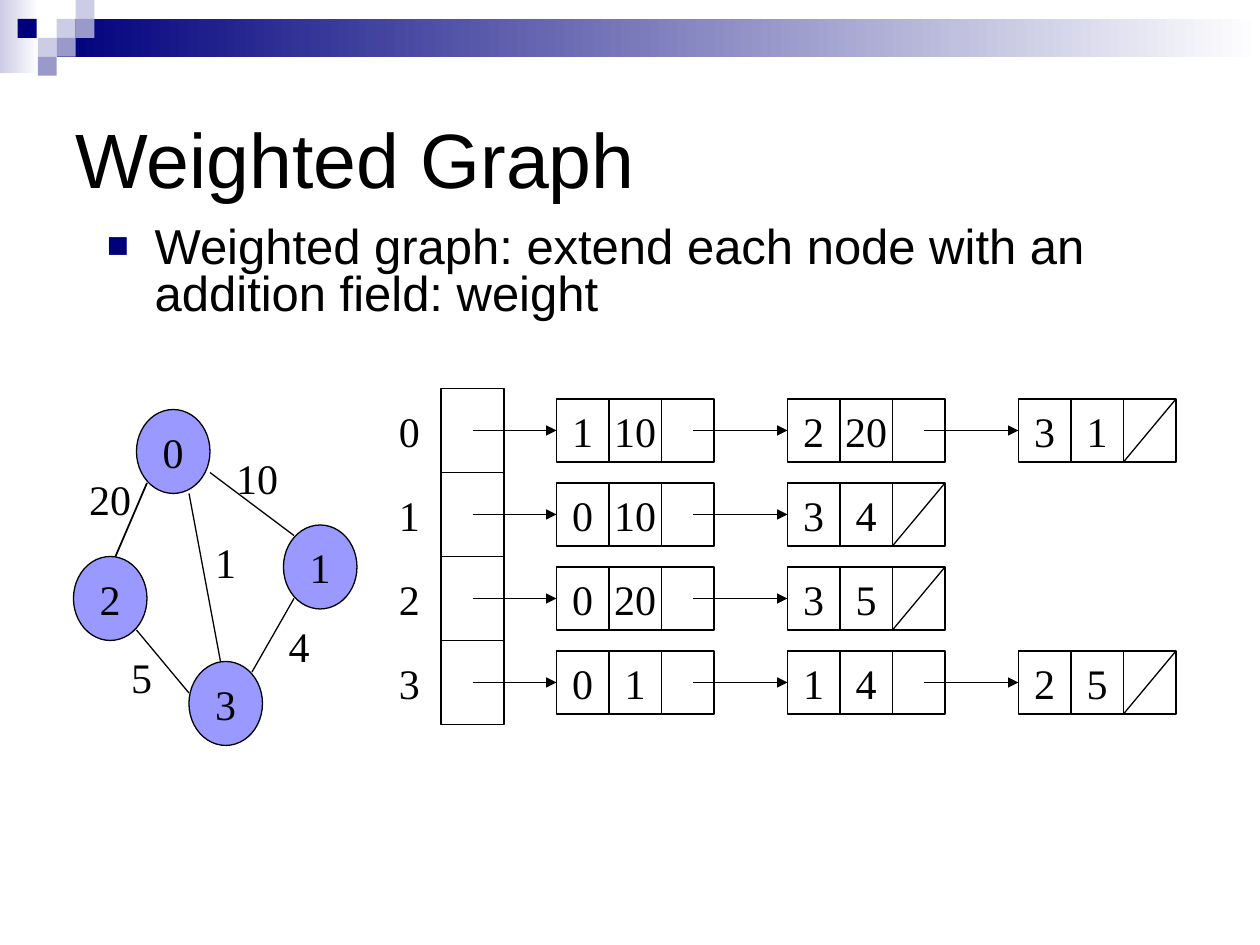
from lxml import etree
from pptx import Presentation
from pptx.dml.color import RGBColor
from pptx.enum.shapes import MSO_CONNECTOR as CONN, MSO_SHAPE as SHAPE
from pptx.enum.text import MSO_ANCHOR as ANCHOR, PP_ALIGN as ALIGN
from pptx.oxml.ns import qn
from pptx.util import Inches, Pt

COLORS = {"navy": "00007D", "lilac": "CCCCE6", "violet": "9999CC",
          "node": "9999FF", "ink": "000000", "white": "FFFFFF"}


def color(name):
    return RGBColor.from_string(COLORS[name])


def unit(n):
    """Diagram grid: twelfths of an inch."""
    return Inches(n / 12)


def add_run(p, text, size, font):
    r = p.add_run()
    r.text = text
    r.font.size = Pt(size)
    r.font.name = font
    r.font.color.rgb = color("ink")


def add_label(sp, text):
    tf = sp.text_frame
    tf.word_wrap = False
    tf.margin_left = tf.margin_right = 0  # two digits fit the narrow boxes
    tf.vertical_anchor = ANCHOR.MIDDLE
    p = tf.paragraphs[0]
    p.alignment = ALIGN.CENTER
    add_run(p, text, 24, "Times New Roman")


def add_text(s, x, y, w, h, text):
    add_label(s.shapes.add_textbox(unit(x), unit(y), unit(w), unit(h)), text)


def add_outlined(s, kind, x, y, w, h, text="", fill=None):
    sp = s.shapes.add_shape(kind, unit(x), unit(y), unit(w), unit(h))
    sp.shadow.inherit = False
    if fill:
        sp.fill.solid()
        sp.fill.fore_color.rgb = color(fill)
    else:
        sp.fill.background()
    sp.line.color.rgb = color("ink")
    sp.line.width = Pt(0.75)
    if text:
        add_label(sp, text)
    return sp


def add_line(s, x1, y1, x2, y2, width=0.75, target=None):
    """A plain line, or an arrow to the left side of the target cell."""
    line = s.shapes.add_connector(CONN.STRAIGHT, unit(x1), unit(y1), unit(x2), unit(y2))
    line.line.color.rgb = color("ink")
    line.line.width = Pt(width)
    if target is not None:
        line.end_connect(target, 1)
        etree.SubElement(line.line._get_or_add_ln(), qn("a:tailEnd"), type="triangle")
    etree.SubElement(line._element.spPr, qn("a:effectLst"))


def add_banner(s, left, top):
    def block(x, y, w, h, *fills):
        sp = s.shapes.add_shape(SHAPE.RECTANGLE, Inches(left + x), Inches(top + y),
                                Inches(w), Inches(h))
        sp.shadow.inherit = False
        sp.line.fill.background()
        if len(fills) == 1:
            sp.fill.solid()
            sp.fill.fore_color.rgb = color(fills[0])
        else:
            sp.fill.gradient()
            sp.fill.gradient_angle = 0
            for stop, name in zip(sp.fill.gradient_stops, fills):
                stop.color.rgb = color(name)

    # Gradient bars, then the mosaic squares
    block(0, 0, 0.31, 0.58, "lilac", "white")
    block(0.45, 0.15, 9.55, 0.3, "navy", "white")
    for x, y, fill in [(0.45, 0.15, "lilac"), (0.6, 0, "lilac"), (0.6, 0.15, "violet"),
                       (0.3, 0.3, "lilac"), (0.14, 0.15, "navy"),
                       (0.45, 0.3, "violet"), (0.3, 0.45, "violet")]:
        block(x, y, 0.15, 0.15, fill)


def add_title(s, left, top, width, height):
    title = s.shapes.title
    title.left, title.top = Inches(left), Inches(top)
    title.width, title.height = Inches(width), Inches(height)
    tf = title.text_frame
    tf.vertical_anchor = ANCHOR.MIDDLE
    p = tf.paragraphs[0]
    p.alignment = ALIGN.LEFT
    add_run(p, "Weighted Graph", 44, "Arial")


def add_body(s, left, top, width, height):
    tf = s.shapes.add_textbox(Inches(left), Inches(top), Inches(width), Inches(height)).text_frame
    tf.word_wrap = True
    p = tf.paragraphs[0]
    p.line_spacing = 0.8
    pPr = p._p.get_or_add_pPr()
    pPr.set("marL", str(Inches(0.38)))
    pPr.set("indent", str(Inches(-0.38)))
    bullet_color = etree.SubElement(pPr, qn("a:buClr"))
    etree.SubElement(bullet_color, qn("a:srgbClr"), val=COLORS["navy"])
    etree.SubElement(pPr, qn("a:buSzPct"), val="75000")
    etree.SubElement(pPr, qn("a:buFont"), typeface="Arial")
    etree.SubElement(pPr, qn("a:buChar"), char="■")
    add_run(p, "Weighted graph: extend each node with an addition field: weight", 28, "Arial")


def add_graph(s, left, top):
    # Vertices
    for name, x, y in [("0", 6, 0), ("1", 20, 11), ("3", 11, 24), ("2", 0, 14)]:
        add_outlined(s, SHAPE.OVAL, left + x, top + y, 7, 8, name, "node")
    # Edges: ends, line width, weight and its place
    for x1, y1, x2, y2, width, weight, x, y in [
            (7, 7, 4, 14, 1, "20", 1, 6),
            (13, 6, 21, 12, 0.75, "10", 15, 4),
            (11, 8, 14, 24, 0.75, "1", 12, 12),
            (6, 21, 11, 27, 0.75, "5", 4, 23),
            (21, 18, 17, 25, 0.75, "4", 19, 20)]:
        add_line(s, left + x1, top + y1, left + x2, top + y2, width)
        add_text(s, left + x, top + y, 5, 5, weight)


def add_adjacency_list(s, left, top):
    row_h, head_w, cell_w, cell_h, node_pitch = 8, 6, 5, 6, 22
    rows = [[("1", "10"), ("2", "20"), ("3", "1")],
            [("0", "10"), ("3", "4")],
            [("0", "20"), ("3", "5")],
            [("0", "1"), ("1", "4"), ("2", "5")]]
    for i, nodes in enumerate(rows):
        y = top + i * row_h
        add_text(s, left, y, head_w, row_h, str(i))
        add_outlined(s, SHAPE.RECTANGLE, left + head_w, y, head_w, row_h)
        cell_y, mid_y = y + 1, y + row_h / 2
        arrow_x = left + 1.5 * head_w
        for j, (vertex, weight) in enumerate(nodes):
            x = left + 17 + j * node_pitch
            cells = [add_outlined(s, SHAPE.RECTANGLE, x + k * cell_w, cell_y, cell_w, cell_h, text)
                     for k, text in enumerate((vertex, weight, ""))]
            add_line(s, arrow_x, mid_y, x, mid_y, target=cells[0])
            arrow_x = x + 13
        # Null pointer in the last node
        add_line(s, x + 3 * cell_w, cell_y, x + 2 * cell_w, cell_y + cell_h)


def main():
    prs = Presentation()
    prs.slide_width, prs.slide_height = Inches(10), Inches(7.5)
    s = prs.slides.add_slide(prs.slide_layouts[5])
    add_banner(s, 0, 0)
    add_title(s, 0.5, 0.5, 9, 1.5)
    add_body(s, 0.75, 1.75, 8.5, 0.92)
    add_graph(s, 7, 39)
    add_adjacency_list(s, 36, 37)
    prs.save("out.pptx")


if __name__ == "__main__":
    main()
